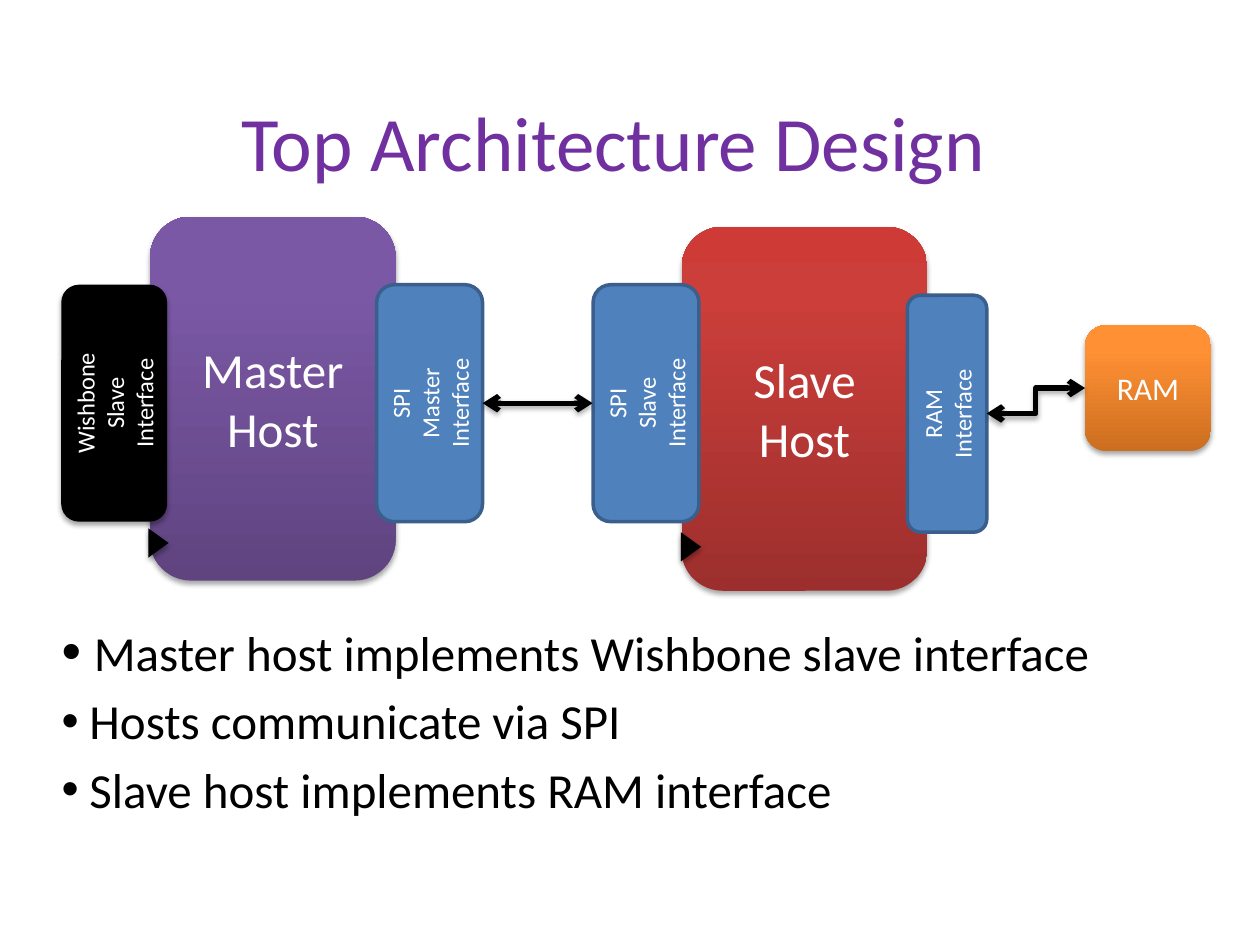
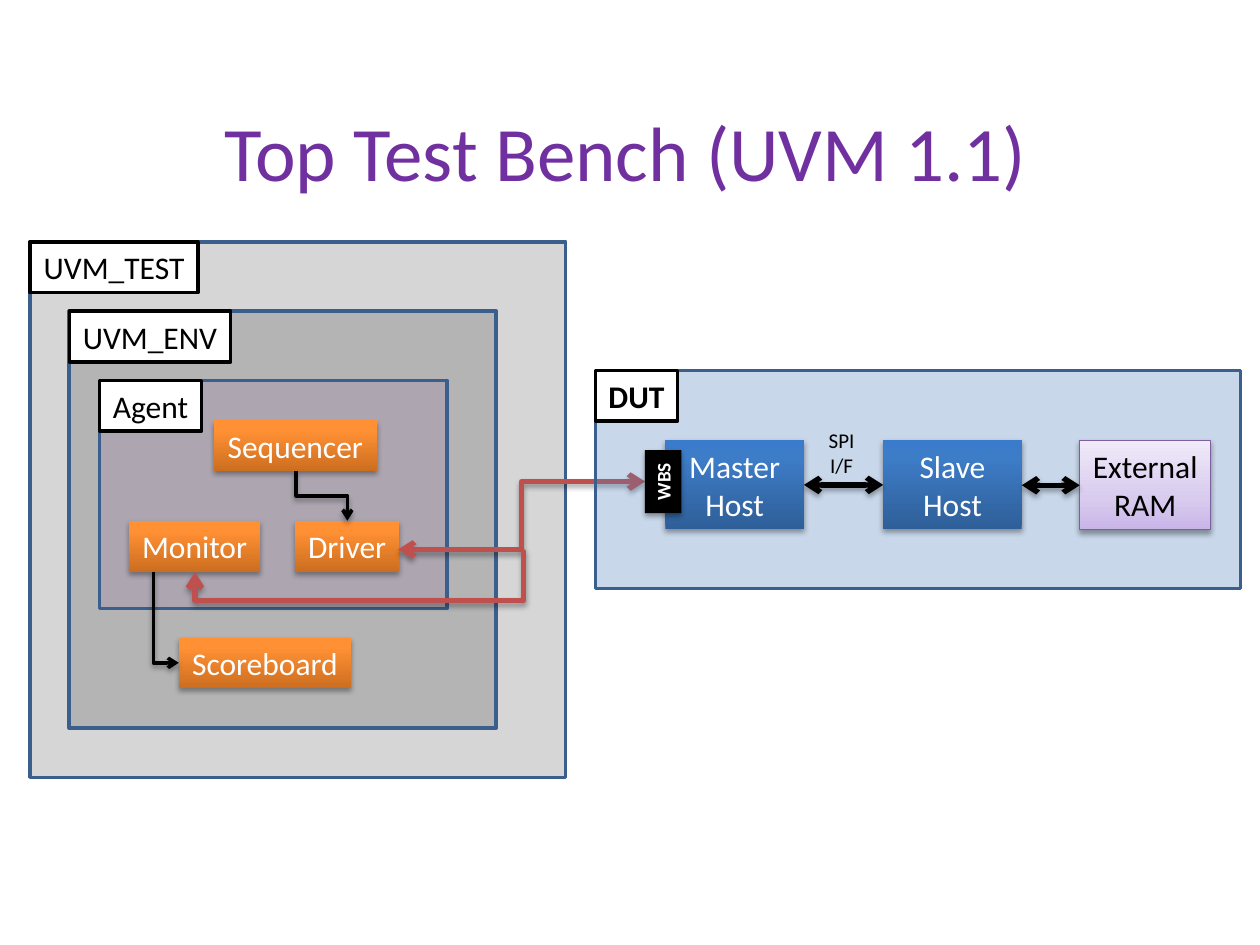
import copy
import math

from lxml import etree
from pptx import Presentation
from pptx import util as u
from pptx.dml.color import RGBColor
from pptx.enum import shapes, text
from pptx.oxml import ns

Pt = u.Pt
SHAPE = shapes.MSO_SHAPE
FONT = "Calibri"

BLACK = RGBColor(0x00, 0x00, 0x00)
WHITE = RGBColor(0xFF, 0xFF, 0xFF)
PURPLE = RGBColor(0x70, 0x30, 0xA0)
BLUE = RGBColor(0x4F, 0x81, 0xBD)
NAVY = RGBColor(0x3A, 0x5F, 0x8C)
RED = RGBColor(0xC0, 0x50, 0x4D)
NEAR_BLACK = RGBColor(0x0D, 0x0D, 0x0D)
VIOLET_EDGE = RGBColor(0x7D, 0x60, 0xA0)


def gradient(*colours, middle=80):
    """Three (percent, colour) stops that run from bottom to top."""
    return [(pos, RGBColor.from_string(c)) for pos, c in zip((0, middle, 100), colours)]


ORANGE_GRAD = gradient("CC6E20", "FF9034", "FF9136")
PURPLE_GRAD = gradient("5F4480", "7B58A6", "7C57A8")
RED_GRAD = gradient("9C2F2D", "CB3E3A", "CE3B37")
BLUE_GRAD = gradient("2F5F99", "3D7CC7", "3A7CCB")
LILAC_GRAD = gradient("C9B5E8", "D8CBEE", "F0EAF9", middle=35)


def add_xml(parent, tag, **attrs):
    child = etree.SubElement(parent, ns.qn(tag))
    for name, value in attrs.items():
        child.set(name, str(value))
    return child


def add_shadow(effects):
    shadow = add_xml(effects, "a:outerShdw", blurRad=Pt(3.1), dist=Pt(1.8),
                     dir=5400000, rotWithShape=0)
    colour = add_xml(shadow, "a:srgbClr", val=BLACK)
    add_xml(colour, "a:alpha", val=35000)


class Deck:
    """Holds the shared style and the slide being drawn; lengths are in points."""

    def __init__(self):
        self.prs = Presentation()
        self.prs.slide_width, self.prs.slide_height = Pt(720), Pt(540)
        self.s = None

    def slide(self, title, left, top):
        self.s = self.prs.slides.add_slide(self.prs.slide_layouts[5])
        sp = self.s.shapes.title
        sp.left, sp.top, sp.width, sp.height = Pt(left), Pt(top), Pt(612), Pt(116)
        self.set_text(sp.text_frame, title, 44, PURPLE)

    def set_text(self, tf, words, size, colour, bold=False, align=text.PP_ALIGN.CENTER):
        tf.text = words
        tf.word_wrap = False
        tf.vertical_anchor = text.MSO_ANCHOR.MIDDLE
        for p in tf.paragraphs:
            p.alignment = align
            p.font.name, p.font.size = FONT, Pt(size)
            p.font.color.rgb, p.font.bold = colour, bold

    def paint(self, sp, fill, opacity):
        if isinstance(fill, RGBColor):
            sp.fill.solid()
            sp.fill.fore_color.rgb = fill
            if opacity < 100:
                colour = sp.element.spPr.find(".//" + ns.qn("a:srgbClr"))
                add_xml(colour, "a:alpha", val=opacity * 1000)
            return
        sp.fill.gradient()
        sp.fill.gradient_angle = 90
        stops = sp.element.spPr.find(".//" + ns.qn("a:gsLst"))
        stops.append(copy.deepcopy(stops[-1]))
        for stop, (percent, colour) in zip(sp.fill.gradient_stops, fill):
            stop.position = percent / 100
            stop.color.rgb = colour

    def box(self, rect, fill, words="", size=18, colour=WHITE, bold=False,
            kind=SHAPE.RECTANGLE, line=None, width=2, shadow=True, opacity=100, turn=0):
        sp = self.s.shapes.add_shape(kind, *map(Pt, rect))
        sp.rotation = turn
        self.paint(sp, fill, opacity)
        if line is None:
            sp.line.fill.background()
        else:
            sp.line.color.rgb, sp.line.width = line, Pt(width)
        sp.shadow.inherit = False
        if shadow:
            add_shadow(sp.element.spPr.find(ns.qn("a:effectLst")))
        if words:
            self.set_text(sp.text_frame, words, size, colour, bold)

    def turned(self, cx, cy, length, depth, fill, words="", turn=270, **style):
        """A box given by its centre and its size before turning."""
        rect = (cx - length / 2, cy - depth / 2, length, depth)
        self.box(rect, fill, words, turn=turn, **style)

    def region(self, rect, fill, opacity, label, label_width, bold=False):
        """A see-through frame with a name tag in its top left corner."""
        self.box(rect, fill, line=NAVY, shadow=False, opacity=opacity)
        self.box((*rect[:2], label_width, 29), WHITE, label, colour=BLACK, bold=bold,
                 line=BLACK, shadow=False)

    def label(self, rect, words, size):
        sp = self.s.shapes.add_textbox(*map(Pt, rect))
        self.set_text(sp.text_frame, words, size, BLACK)

    def bullets(self, rect, items, size=28):
        sp = self.s.shapes.add_textbox(*map(Pt, rect))
        tf = sp.text_frame
        self.set_text(tf, "\n".join(items), size, BLACK, align=text.PP_ALIGN.LEFT)
        tf.word_wrap = True
        tf.vertical_anchor = text.MSO_ANCHOR.TOP
        for i, p in enumerate(tf.paragraphs):
            p.space_before = Pt(size * 0.2)
            indent = Pt(16 if i else 18.5)
            pPr = p._p.get_or_add_pPr()
            pPr.set("marL", str(indent))
            pPr.set("indent", str(-indent))
            font = pPr.find(ns.qn("a:defRPr"))
            for tag, attrs in (("a:buSzPct", {"val": "100000" if i else "114000"}),
                               ("a:buFont", {"typeface": "Arial"}),
                               ("a:buChar", {"char": "•"})):
                font.addprevious(add_xml(pPr, tag, **attrs))

    def arrow(self, begin, end, colour=BLACK, width=3, both=True,
              kind="line", adjust=(), turn=0):
        """Join two points; turn is the rotation of an elbow's frame in degrees."""
        cx, cy = (begin[0] + end[0]) / 2, (begin[1] + end[1]) / 2
        dx, dy = begin[0] - cx, begin[1] - cy
        cos, sin = math.cos(math.radians(-turn)), math.sin(math.radians(-turn))
        ux, uy = dx * cos - dy * sin, dx * sin + dy * cos
        cxn = self.s.shapes.add_connector(
            shapes.MSO_CONNECTOR.STRAIGHT,
            *(Pt(round(v, 2)) for v in (cx + ux, cy + uy, cx - ux, cy - uy)))
        cxn.line.color.rgb, cxn.line.width = colour, Pt(width)
        spPr = cxn.element.spPr
        if turn:
            spPr.find(ns.qn("a:xfrm")).set("rot", str(turn * 60000))
        geometry = spPr.find(ns.qn("a:prstGeom"))
        geometry.set("prst", kind)
        guides = geometry.find(ns.qn("a:avLst"))
        for i, value in enumerate(adjust, 1):
            add_xml(guides, "a:gd", name=f"adj{i}", fmla=f"val {value}")
        ln = spPr.find(ns.qn("a:ln"))
        if both:
            add_xml(ln, "a:headEnd", type="arrow")
        add_xml(ln, "a:tailEnd", type="arrow")
        add_shadow(add_xml(spPr, "a:effectLst"))


def architecture(deck):
    deck.slide("Top Architecture Design", 44.6, 22.3)
    rounded = dict(kind=SHAPE.ROUNDED_RECTANGLE)
    port = dict(rounded, size=14)
    blue_port = dict(port, line=NAVY, shadow=False)

    deck.box((389.5, 129.6, 140.4, 208), RED_GRAD, "Slave\nHost", 28, **rounded)
    deck.box((85.7, 123.8, 140.4, 208), PURPLE_GRAD, "Master\nHost", 28, **rounded)
    deck.turned(65.3, 230.4, 135.4, 60.5, BLACK, "Wishbone\nSlave\nInterface", **port)
    for cx, cy, depth, words in ((245.5, 230.4, 60.5, "SPI\nMaster\nInterface"),
                                 (369.2, 230.4, 60.5, "SPI\nSlave\nInterface"),
                                 (541.2, 236.4, 45.4, "RAM\nInterface")):
        deck.turned(cx, cy, 135.4, depth, BLUE, words, **blue_port)
    deck.arrow((275.8, 230.4), (338.6, 230.4))
    deck.box((620, 185.8, 72, 72), ORANGE_GRAD, "RAM", **rounded)
    deck.arrow((563.8, 236.3), (620, 221.8), kind="bentConnector3")
    for cx, cy in ((90.6, 310.3), (394.9, 312.5)):
        deck.turned(cx, cy, 16.6, 11.5, BLACK, turn=90, kind=SHAPE.ISOSCELES_TRIANGLE)
    deck.bullets((28.1, 352, 664, 170), [
        "Master host implements Wishbone slave interface",
        "Hosts communicate via SPI",
        "Slave host implements RAM interface"])


def test_bench(deck):
    deck.slide("Top Test Bench (UVM 1.1)", 51.8, 28.1)
    deck.region((17.3, 138.2, 306, 306), NEAR_BLACK, 17, "UVM_TEST", 95.8)
    deck.region((39.6, 177.8, 244, 238.3), NEAR_BLACK, 17, "UVM_ENV", 92.2)
    deck.region((56.9, 217.4, 198.7, 130.3), PURPLE, 10, "Agent", 58.3)
    for left, top, width, words in ((168.5, 297.6, 59.8, "Driver"),
                                    (73.6, 297.6, 75.2, "Monitor"),
                                    (122.2, 240.2, 93.2, "Sequencer"),
                                    (102.2, 364.3, 98.4, "Scoreboard")):
        deck.box((left, top, width, 29), ORANGE_GRAD, words)
    deck.arrow((169.2, 269.2), (198.5, 297.6), width=2, both=False,
               kind="bentConnector3", turn=270)
    deck.arrow((87.8, 326.7), (102.2, 378.8), width=2, both=False,
               kind="bentConnector2", turn=270)
    deck.arrow((227.5, 314), (368.6, 275.2), RED, kind="bentConnector3")

    deck.region((340.3, 211.7, 368.6, 124.6), BLUE, 31, "DUT", 46.8, bold=True)
    for left, words in ((380.2, "Master\nHost"), (504.7, "Slave\nHost")):
        deck.box((left, 251.3, 79.2, 51.1), BLUE_GRAD, words)
    deck.arrow((459.4, 277.1), (504.7, 277.1))
    deck.label((465.8, 240.5, 30.2, 36), "SPI\nI/F", 12)
    deck.box((617, 251.7, 74.9, 51.1), LILAC_GRAD, "External\nRAM", colour=BLACK,
             line=VIOLET_EDGE, width=0.75)
    deck.arrow((617, 277.3), (583.9, 277.3))
    deck.turned(378.9, 275.2, 36, 20.9, BLACK, "WBS", size=11, bold=True)
    deck.arrow((298, 315.4), (111.4, 326.9), RED, both=False,
               kind="bentConnector4", adjust=(-600, 239700), turn=180)


def main():
    deck = Deck()
    architecture(deck)
    test_bench(deck)
    deck.prs.save("out.pptx")


if __name__ == "__main__":
    main()
